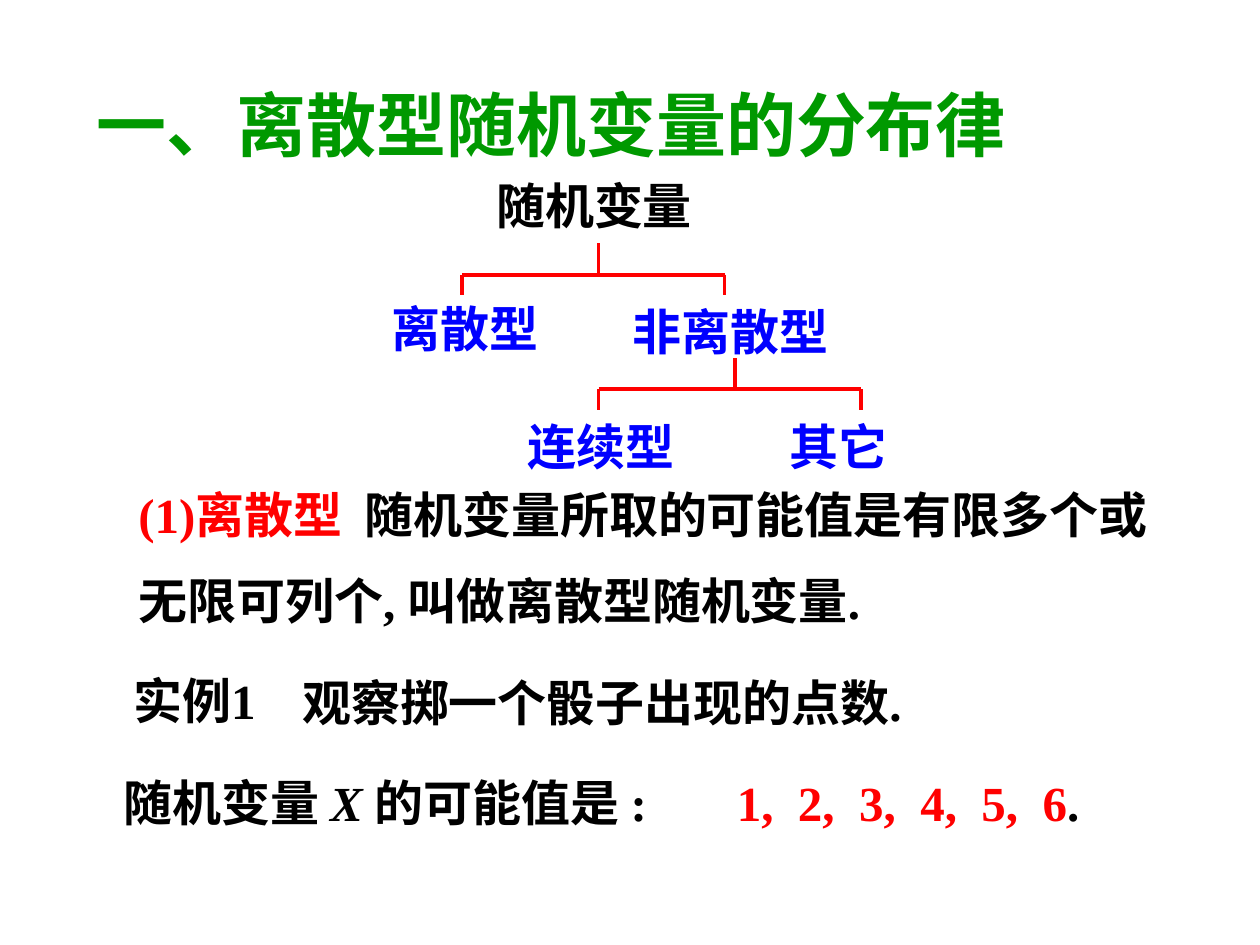
from lxml import etree
from pptx import Presentation
from pptx.dml.color import RGBColor
from pptx.enum import shapes, text
from pptx.oxml import ns
from pptx.util import Inches, Pt

GREEN = RGBColor(0x00, 0x99, 0x00)
BLUE = RGBColor(0x00, 0x00, 0xFF)
RED = RGBColor(0xFF, 0x00, 0x00)
BLACK = RGBColor(0x00, 0x00, 0x00)
SERIF = "Times New Roman"
SANS = "Noto Sans CJK SC"


def add_text(box, paragraphs, wrap=False, size=28):
    """Fill a new text box; each run is (wording, colour, font, italic)."""
    left, top, width, height = map(Inches, box)
    frame = slide.shapes.add_textbox(left, top, width, height).text_frame
    frame.word_wrap = wrap
    frame.auto_size = text.MSO_AUTO_SIZE.SHAPE_TO_FIT_TEXT
    for index, runs in enumerate(paragraphs):
        paragraph = frame.add_paragraph() if index else frame.paragraphs[0]
        for wording, colour, font_name, italic in runs:
            run = paragraph.add_run()
            run.text = wording
            run.font.color.rgb = colour
            formats = {"name": font_name, "size": Pt(size), "bold": True, "italic": italic}
            for attribute, value in formats.items():
                setattr(run.font, attribute, value)
            east_asian = etree.SubElement(run.font._element, ns.qn("a:ea"))
            east_asian.set("typeface", SANS)
    return frame


def add_branch(left, top):
    """Draw a bracket from a parent term down to its two children."""
    right, stem = left + 2.08, left + 1.08
    bracket = slide.shapes.add_group_shape()
    for x1, y1, x2, y2 in [
        (left, top, right, top),
        (left, top, left, top + 0.16),
        (right, top, right, top + 0.16),
        (stem, top, stem, top - 0.25),
    ]:
        line = bracket.shapes.add_connector(
            shapes.MSO_CONNECTOR.STRAIGHT, Inches(x1), Inches(y1), Inches(x2), Inches(y2)
        )
        line.line.color.rgb = RED
        line.line.width = Pt(2.25)
        etree.SubElement(line._element.spPr, ns.qn("a:effectLst"))


presentation = Presentation()
presentation.slide_width = Inches(10)
presentation.slide_height = Inches(7.5)
slide = presentation.slides.add_slide(presentation.slide_layouts[6])

# Heading
add_text((0.67, 0.6, 8.74, 0.77), [[("一、离散型随机变量的分布律", GREEN, SERIF, False)]],
         wrap=True, size=40)

# Classification tree
for term, left, top, width, colour in [
    ("随机变量", 3.84, 1.34, 1.8, BLACK),
    ("离散型", 3.01, 2.32, 1.4, BLUE),
    ("非离散型", 4.92, 2.34, 1.8, BLUE),
    ("连续型", 4.09, 3.26, 1.4, BLUE),
    ("其它", 6.17, 3.26, 1.02, BLUE),
]:
    add_text((left, top, width, 0.57), [[(term, colour, SERIF, False)]])
add_branch(3.67, 2.18)
add_branch(4.75, 3.09)

# Definition
definition = add_text((1, 3.83, 8.83, 1.23), [
    [("(1)", RED, SERIF, False),
     ("离散型", RED, SANS, False),
     ("  随机变量所取的可能值是有限多个或", BLACK, SANS, False)],
    [("无限可列个", BLACK, SANS, False),
     (", ", BLACK, SERIF, False),
     ("叫做离散型随机变量", BLACK, SANS, False),
     (".", BLACK, SERIF, False)],
], wrap=True)
for paragraph in definition.paragraphs:
    paragraph.line_spacing = 0.95
definition.paragraphs[1].space_before = Pt(17.5)

# Example
add_text((0.96, 5.27, 1.32, 0.57), [[("实例1", BLACK, SERIF, False)]])
add_text((2.3, 5.29, 5.15, 0.57), [[("观察掷一个骰子出现的点数.", BLACK, SERIF, False)]])
add_text((0.88, 6.08, 4.7, 0.57), [[
    ("随机变量 ", BLACK, SERIF, False),
    ("X ", BLACK, SERIF, True),
    ("的可能值是 :", BLACK, SERIF, False),
]])
add_text((5.75, 6.08, 2.97, 0.57), [[
    ("1,  2,  3,  4,  5,  6", RED, SERIF, False),
    (".", BLACK, SERIF, False),
]])

presentation.save("out.pptx")
